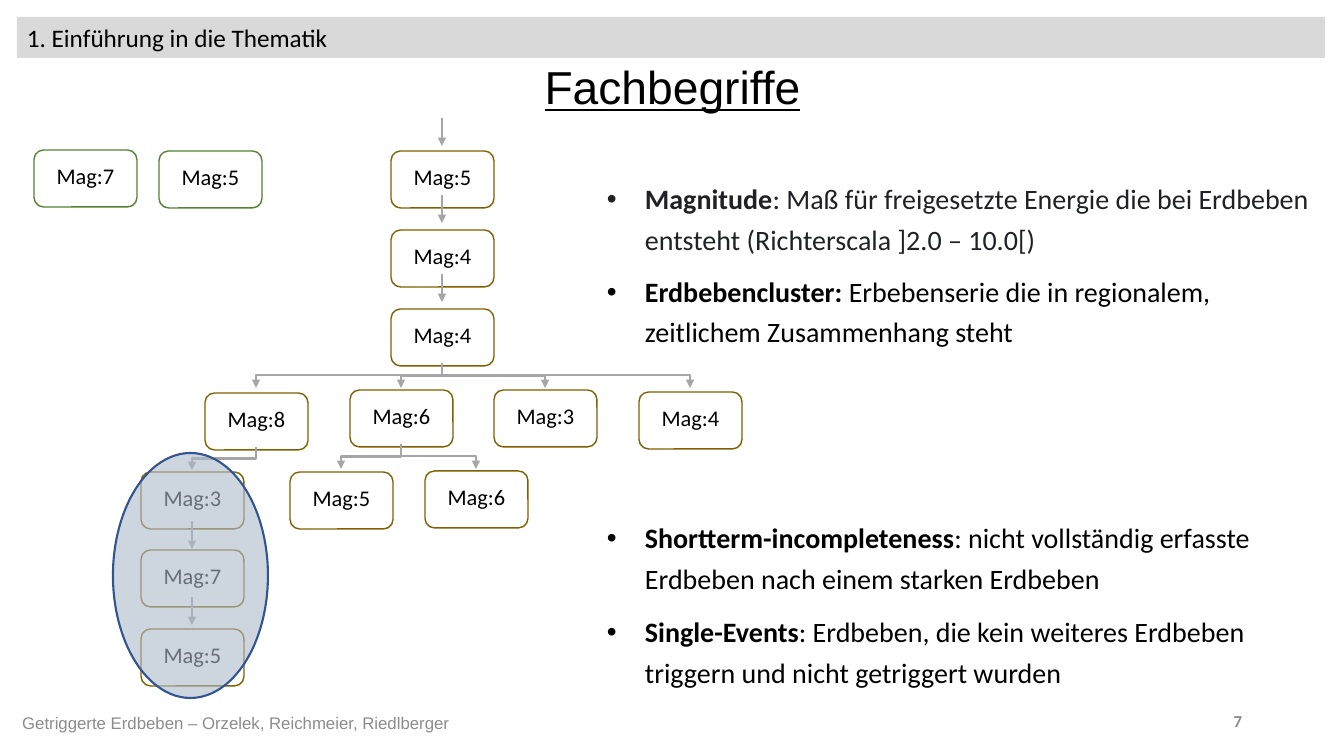
from dataclasses import dataclass

from lxml.etree import SubElement
from pptx import Presentation
from pptx.dml.color import RGBColor
from pptx.enum.shapes import MSO_CONNECTOR, MSO_SHAPE
from pptx.enum.text import MSO_ANCHOR, PP_ALIGN
from pptx.oxml.ns import qn
from pptx.util import Pt

EMU_PER_PX = 914400 / 100.8


def px(length):
    return round(length * EMU_PER_PX)


def rgb(value):
    return RGBColor.from_string(value)


@dataclass(frozen=True)
class Theme:
    body_font: str = "Calibri"
    title_font: str = "Arial"
    text: str = "000000"
    soft_text: str = "202124"
    footer: str = "8C8C8C"
    band: str = "D9D9D9"
    arrow: str = "A6A6A6"
    cluster: str = "806000"
    single: str = "548235"
    highlight: str = "ADB9CA"
    highlight_edge: str = "325491"
    title_size: int = 33
    bullet_size: int = 20
    header_size: int = 18
    quake_size: int = 16
    footer_size: int = 12


@dataclass(frozen=True)
class Quake:
    """Label and top-left corner of one box; all boxes share a size."""
    label: str
    left: int
    top: int
    width: int = 103
    height: int = 57

    @property
    def centre(self):
        return self.left + self.width // 2

    @property
    def bottom(self):
        return self.top + self.height


class SlideBuilder:
    def __init__(self, slide, theme):
        self.shapes = slide.shapes
        self.theme = theme

    def style(self, paragraph, size, color=None, font=None, align=PP_ALIGN.LEFT):
        paragraph.alignment = align
        paragraph.font.size = Pt(size)
        paragraph.font.name = font or self.theme.body_font
        paragraph.font.color.rgb = rgb(color or self.theme.text)

    def text(self, box, content, size, anchor=MSO_ANCHOR.MIDDLE, **look):
        frame = self.shapes.add_textbox(*map(px, box)).text_frame
        frame.word_wrap = True
        frame.vertical_anchor = anchor
        paragraph = frame.paragraphs[0]
        paragraph.text = content
        self.style(paragraph, size, **look)
        return paragraph

    def shape(self, kind, box, fill=None, edge=None, weight=1):
        shape = self.shapes.add_shape(kind, *map(px, box))
        shape.shadow.inherit = False
        if fill:
            shape.fill.solid()
            shape.fill.fore_color.rgb = rgb(fill)
        else:
            shape.fill.background()
        if edge:
            shape.line.color.rgb = rgb(edge)
            shape.line.width = Pt(weight)
        else:
            shape.line.fill.background()
        return shape

    def header(self, box, content):
        band = self.shape(MSO_SHAPE.RECTANGLE, box, fill=self.theme.band)
        band.text_frame.vertical_anchor = MSO_ANCHOR.MIDDLE
        paragraph = band.text_frame.paragraphs[0]
        paragraph.text = content
        self.style(paragraph, self.theme.header_size)

    def quake(self, quake, edge):
        box = (quake.left, quake.top, quake.width, quake.height)
        frame = self.shape(MSO_SHAPE.ROUNDED_RECTANGLE, box, edge=edge).text_frame
        frame.vertical_anchor = MSO_ANCHOR.MIDDLE
        frame.margin_bottom = px(10)
        paragraph = frame.paragraphs[0]
        paragraph.text = quake.label
        self.style(paragraph, self.theme.quake_size, align=PP_ALIGN.CENTER)

    def highlight(self, box, opacity):
        ellipse = self.shape(MSO_SHAPE.OVAL, box, self.theme.highlight,
                             self.theme.highlight_edge, 1.5)
        color = ellipse.element.spPr.find(qn("a:solidFill")).find(qn("a:srgbClr"))
        SubElement(color, qn("a:alpha"), val=str(opacity * 1000))

    def connector(self, kind, *ends):
        connector = self.shapes.add_connector(kind, *map(px, ends))
        connector.line.color.rgb = rgb(self.theme.arrow)
        connector.line.width = Pt(1.5)
        properties = connector.element.spPr
        SubElement(properties.find(qn("a:ln")), qn("a:tailEnd"), type="triangle")
        SubElement(properties, qn("a:effectLst"))
        return connector

    def arrow_into(self, quake, gap):
        """Short vertical arrow that stops gap px above the box."""
        end = quake.top - gap
        self.connector(MSO_CONNECTOR.STRAIGHT,
                       quake.centre, end - 28, quake.centre, end)

    def branch(self, parent, children):
        """Elbows that leave downwards, turned so that they share one bus."""
        start = parent.bottom - 3
        end = min(child.top for child in children) - 2
        half_drop = (end - start) / 2
        for child in children:
            half_span = (child.centre - parent.centre) / 2
            x, y = parent.centre + half_span, start + half_drop
            to_right = half_span > 0
            run = -half_drop if to_right else half_drop
            elbow = self.connector(MSO_CONNECTOR.ELBOW, x - run, y - abs(half_span),
                                   x + run, y + abs(half_span))
            turn = 270 if to_right else 90
            elbow.element.spPr.find(qn("a:xfrm")).set("rot", str(turn * 60000))

    def definition(self, box, term, meaning, color):
        paragraph = self.text(box, "", self.theme.bullet_size,
                              anchor=MSO_ANCHOR.TOP, color=color)
        paragraph.line_spacing = 1.2
        paragraph.add_run().text = term
        paragraph.runs[0].font.bold = True
        paragraph.add_run().text = meaning
        properties = paragraph._p.get_or_add_pPr()
        properties.set("marL", str(px(38)))
        properties.set("indent", str(px(-38)))
        SubElement(properties, qn("a:buFont"), typeface="Arial")
        SubElement(properties, qn("a:buChar"), char="•")
        # Bullet elements must precede the default run properties.
        properties.append(properties.find(qn("a:defRPr")))


def main():
    theme = Theme()
    presentation = Presentation()
    presentation.slide_width, presentation.slide_height = px(1344), px(756)
    slide = presentation.slides.add_slide(presentation.slide_layouts[6])
    builder = SlideBuilder(slide, theme)

    trunk = [Quake("Mag:5", 391, 151), Quake("Mag:4", 391, 230),
             Quake("Mag:4", 391, 309)]
    branches = [Quake("Mag:8", 205, 393), Quake("Mag:6", 350, 390),
                Quake("Mag:3", 494, 390), Quake("Mag:4", 639, 392)]
    twigs = [Quake("Mag:5", 290, 472), Quake("Mag:6", 425, 471)]
    missed = [Quake("Mag:3", 141, 472), Quake("Mag:7", 141, 550),
              Quake("Mag:5", 141, 629)]
    singles = [Quake("Mag:7", 34, 150), Quake("Mag:5", 159, 151)]

    for quake in trunk + branches + twigs + missed:
        builder.quake(quake, theme.cluster)
    for quake in singles:
        builder.quake(quake, theme.single)

    for quake, gap in zip(trunk + missed[1:], (5, 7, 7, 1, 4)):
        builder.arrow_into(quake, gap)
    builder.branch(trunk[-1], branches)
    builder.branch(branches[1], twigs)
    builder.branch(branches[0], missed[:1])
    builder.highlight((113, 453, 155, 245), opacity=60)

    definitions = [
        (170, 740, "Magnitude", ": Maß für freigesetzte Energie die bei Erdbeben "
         "entsteht (Richterscala ]2.0 – 10.0[)", theme.soft_text),
        (263, 678, "Erdbebencluster: ", "Erbebenserie die in regionalem, "
         "zeitlichem Zusammenhang steht", theme.text),
        (509, 678, "Shortterm-incompleteness", ": nicht vollständig erfasste "
         "Erdbeben nach einem starken Erdbeben", theme.text),
        (603, 678, "Single-Events", ": Erdbeben, die kein weiteres Erdbeben "
         "triggern und nicht getriggert wurden", theme.text),
    ]
    for top, width, term, meaning, color in definitions:
        builder.definition((597, top, width, 89), term, meaning, color)

    builder.header((17, 17, 1308, 41), "1. Einführung in die Thematik")
    title = builder.text((93, 17, 1159, 146), "Fachbegriffe", theme.title_size,
                         font=theme.title_font, align=PP_ALIGN.CENTER)
    title.font.underline = True
    title.line_spacing = 0.9
    builder.text((9, 703, 454, 40),
                 "Getriggerte Erdbeben – Orzelek, Reichmeier, Riedlberger",
                 theme.footer_size, color=theme.footer, font=theme.title_font,
                 align=PP_ALIGN.CENTER)
    page = builder.text((950, 701, 302, 40), "7", theme.footer_size,
                        color=theme.footer, align=PP_ALIGN.RIGHT)
    page.font.bold = True
    presentation.save("out.pptx")


if __name__ == "__main__":
    main()
